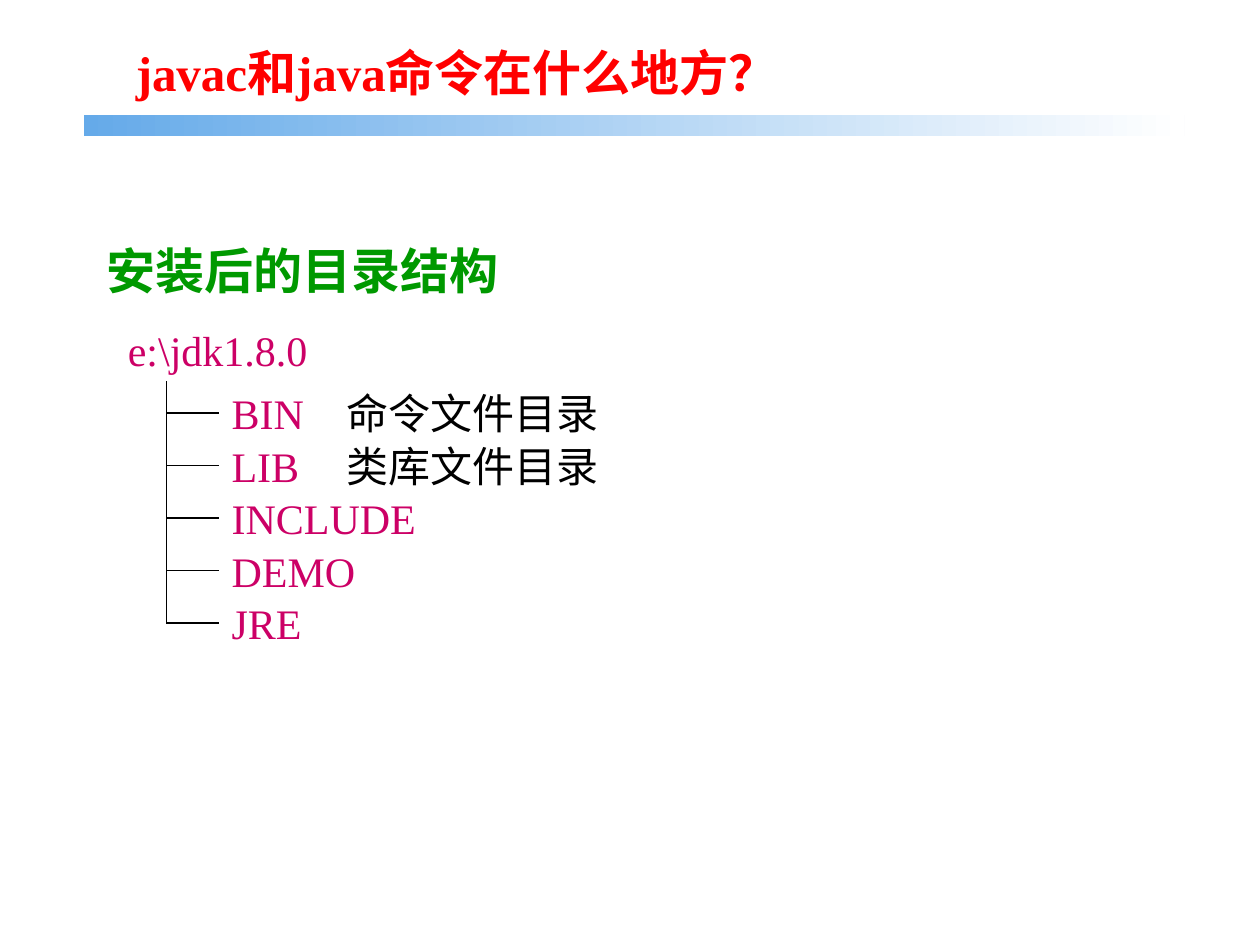
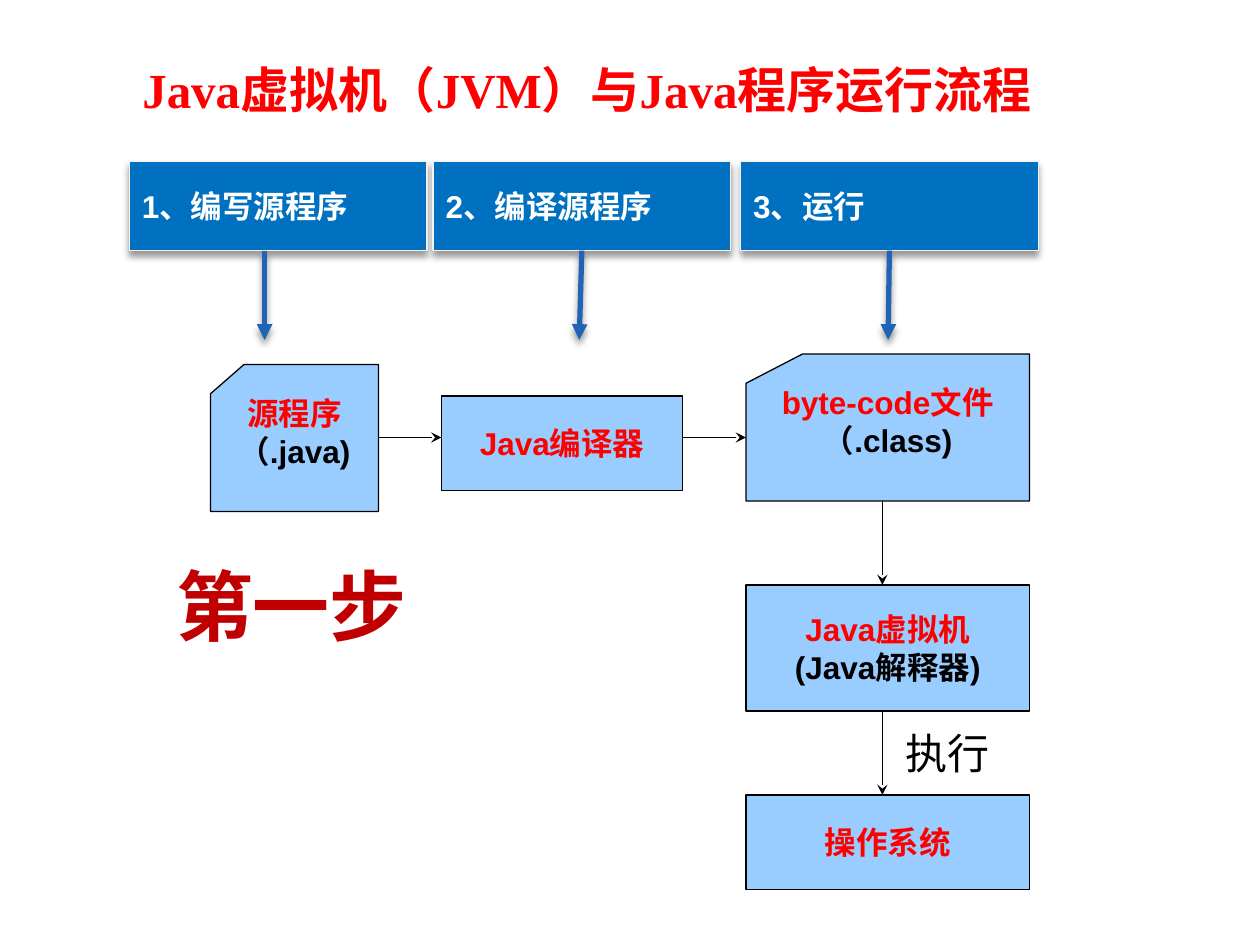
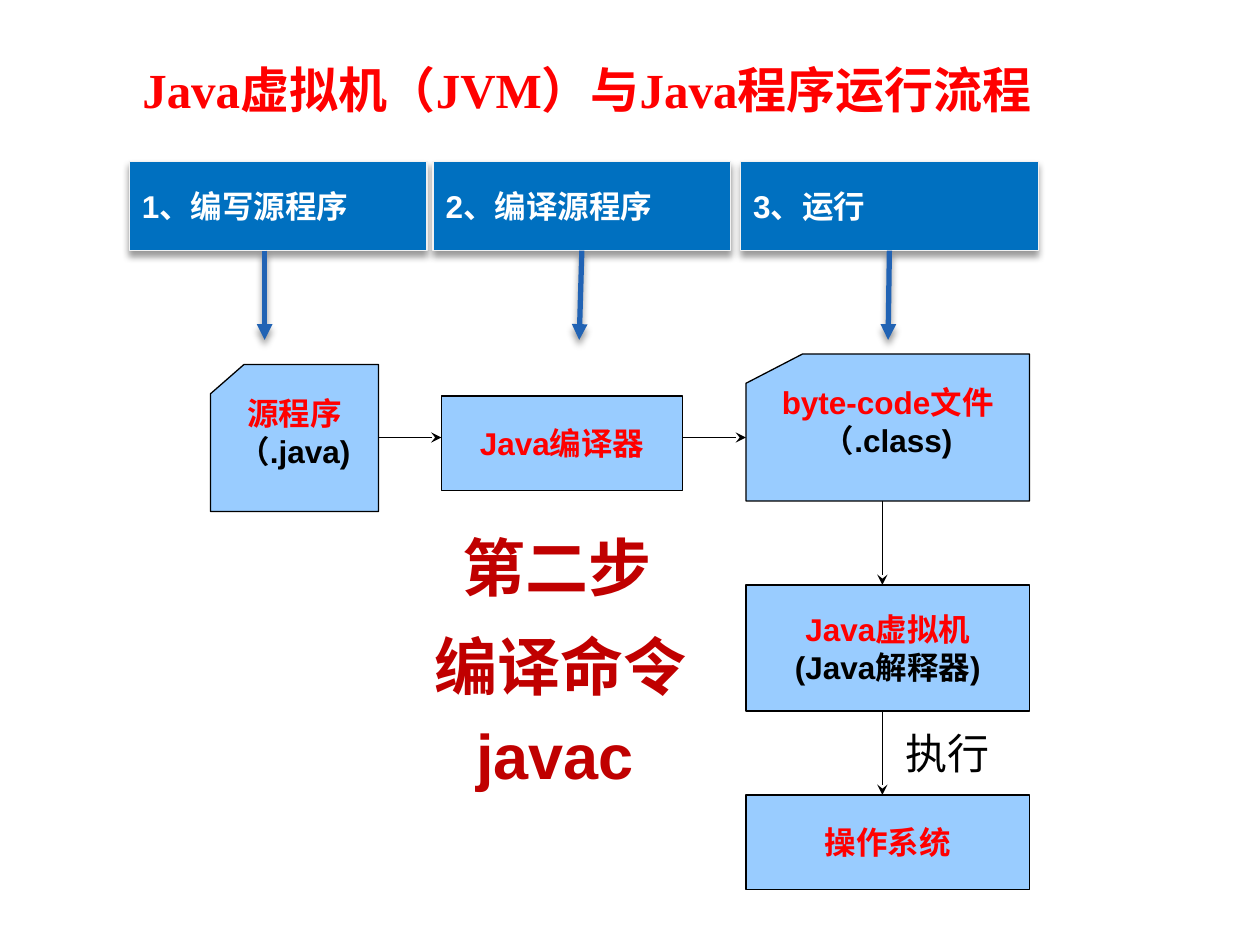
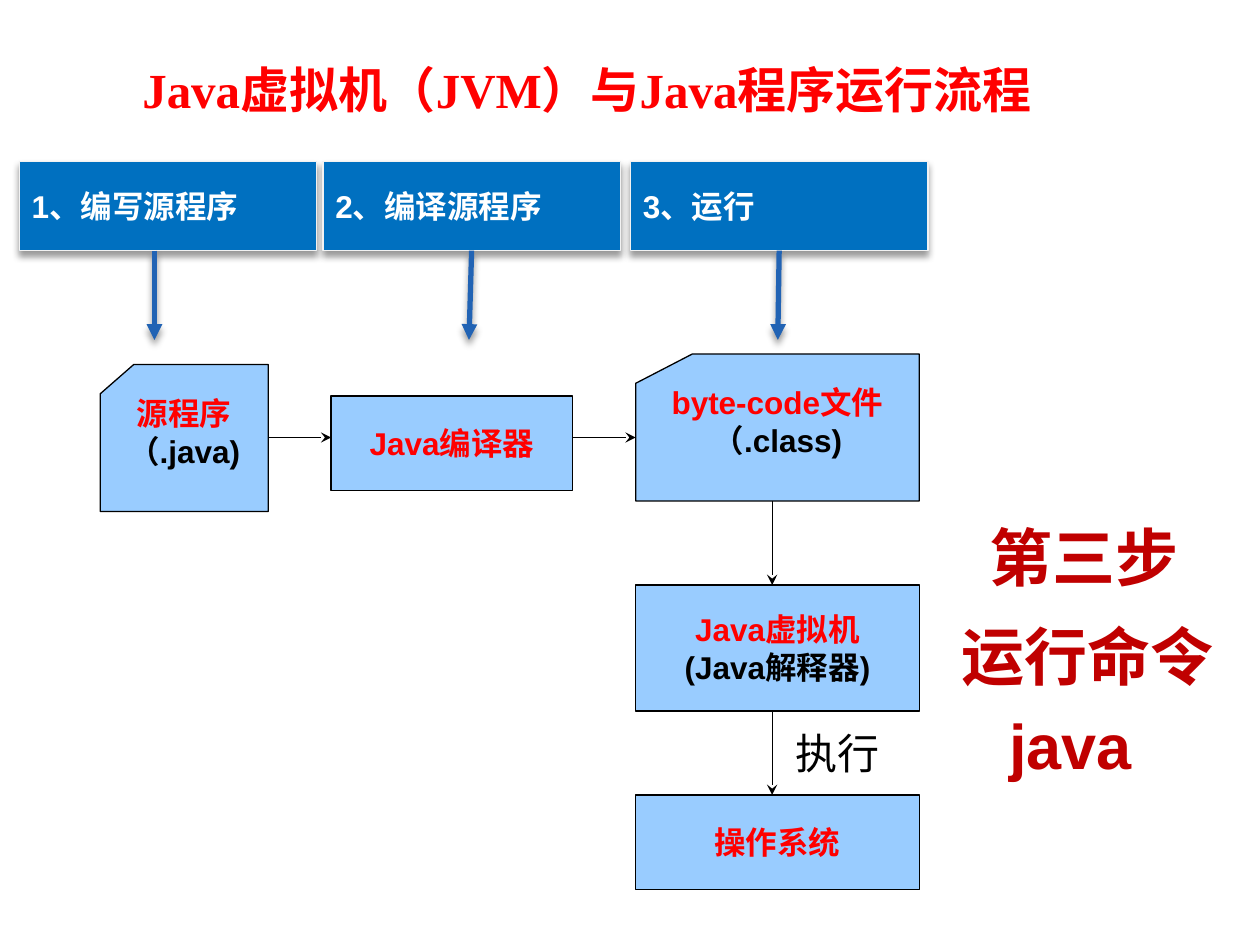
from dataclasses import dataclass
from typing import NamedTuple

from lxml import etree
from pptx import Presentation
from pptx.dml.color import RGBColor
from pptx.enum.shapes import MSO_CONNECTOR, MSO_SHAPE
from pptx.enum.text import MSO_ANCHOR, MSO_AUTO_SIZE, PP_ALIGN
from pptx.oxml.ns import qn
from pptx.util import Pt

RECT = MSO_SHAPE.RECTANGLE
ROUND = MSO_SHAPE.ROUNDED_RECTANGLE
CARD = MSO_SHAPE.FLOWCHART_CARD
LINE = MSO_CONNECTOR.STRAIGHT
TOP, MID = MSO_ANCHOR.TOP, MSO_ANCHOR.MIDDLE
LEFT, MIDDLE = PP_ALIGN.LEFT, PP_ALIGN.CENTER
GROW, FIXED = MSO_AUTO_SIZE.SHAPE_TO_FIT_TEXT, MSO_AUTO_SIZE.NONE


# Theme: colours, fonts and type sizes
@dataclass(frozen=True)
class Theme:
    red: str = "FF0000"
    ink: str = "000000"
    white: str = "FFFFFF"
    green: str = "009900"
    pink: str = "CC0066"
    deep: str = "C00000"
    sky: str = "99CCFF"
    bar: str = "0070C0"
    edge: str = "F2F2F2"
    arrow: str = "2163B4"
    fade: str = "65AAE9"
    serif: str = "Times New Roman"
    sans: str = "Arial"
    han: str = "Noto Sans CJK SC"
    title: float = 28
    body: float = 24
    label: float = 18
    step: float = 36
    first: float = 44
    thin: float = 0.75
    thick: float = 3


T = Theme()


class Frame(NamedTuple):
    x: float
    y: float
    w: float
    h: float

    def move(self, dx: float) -> "Frame":
        return self._replace(x=self.x + dx)


class Style(NamedTuple):
    size: float
    font: str
    tints: tuple
    bold: bool = True


class Note(NamedTuple):
    text: str
    frame: Frame
    style: Style
    anchor: MSO_ANCHOR = MID
    align: PP_ALIGN = LEFT
    fill: str = ""
    wrap: bool = False


class Node(NamedTuple):
    kind: MSO_SHAPE
    text: str
    frame: Frame


class Link(NamedTuple):
    x1: float
    y1: float
    x2: float
    y2: float


class Stage(NamedTuple):
    text: str
    left: float
    start: float
    end: float


HEAD = Style(T.title, T.serif, (T.red,))
TOPIC = Style(T.title, T.serif, (T.green,))
FOLDER = Style(T.body, T.serif, (T.pink,), False)
PLAIN = Style(T.body, T.serif, (T.ink,), False)
NODE = Style(T.label, T.sans, (T.red, T.ink))
STAGE = Style(T.label, T.sans, (T.white,))
FIRST = Style(T.first, T.han, (T.deep,))
STEP = Style(T.step, T.han, (T.deep,))
TOOL = Style(T.step, T.sans, (T.deep,))


# Drawing helpers
def paint(code: str) -> RGBColor:
    return RGBColor.from_string(code)


def place(frame: Frame) -> list:
    return [Pt(v) for v in frame]


def write(box, text: str, style: Style, align: PP_ALIGN) -> None:
    """One paragraph a line; tints go to the lines in turn."""
    box.text_frame.text = text
    for para, tint in zip(box.text_frame.paragraphs, style.tints):
        para.alignment = align
        for run in para.runs:
            font = run.font
            font.size, font.bold = Pt(style.size), style.bold
            font.color.rgb = paint(tint)
            font.name = style.font
            etree.SubElement(font._element, qn("a:ea"), typeface=T.han)


def shade(effects) -> None:
    drop = etree.SubElement(effects, qn("a:outerShdw"), blurRad=str(Pt(4)),
                            dist=str(Pt(3)), dir="5400000", rotWithShape="0")
    tint = etree.SubElement(drop, qn("a:srgbClr"), val=T.ink)
    etree.SubElement(tint, qn("a:alpha"), val="40000")


def add_note(slide, note: Note) -> None:
    if note.fill:
        box = slide.shapes.add_shape(RECT, *place(note.frame))
        box.shadow.inherit = False
        box.fill.solid()
        box.fill.fore_color.rgb = paint(note.fill)
        box.line.fill.background()
    else:
        box = slide.shapes.add_textbox(*place(note.frame))
    write(box, note.text, note.style, note.align)
    frame = box.text_frame
    frame.word_wrap = note.wrap
    frame.vertical_anchor = note.anchor
    frame.auto_size = FIXED if note.wrap else GROW


def add_box(slide, node: Node, fill: str, edge: str):
    box = slide.shapes.add_shape(node.kind, *place(node.frame))
    box.shadow.inherit = False
    box.fill.solid()
    box.fill.fore_color.rgb = paint(fill)
    box.line.color.rgb = paint(edge)
    box.line.width = Pt(T.thin)
    box.text_frame.vertical_anchor = MID
    return box


def add_node(slide, node: Node) -> None:
    box = add_box(slide, node, T.sky, T.ink)
    write(box, node.text, NODE, MIDDLE)
    frame = box.text_frame
    frame.word_wrap = False
    if node.kind == CARD:
        frame.vertical_anchor = TOP
        frame.margin_top = 0


def add_stage(slide, text: str, frame: Frame) -> None:
    box = add_box(slide, Node(ROUND, text, frame), T.bar, T.edge)
    box.adjustments[0] = 0
    shade(box._element.spPr.find(qn("a:effectLst")))
    write(box, text, STAGE, LEFT)


def add_link(slide, link: Link, tip: str = "", tint: str = T.ink,
             width: float = T.thin, drop: bool = False) -> None:
    wire = slide.shapes.add_connector(LINE, *[Pt(v) for v in link])
    wire.line.color.rgb = paint(tint)
    wire.line.width = Pt(width)
    if tip:
        etree.SubElement(wire.line._ln, qn("a:tailEnd"), type=tip)
    effects = etree.SubElement(wire._element.spPr, qn("a:effectLst"))
    if drop:
        shade(effects)


# Slide 1: folder tree
ROW, PITCH, TALL = 218, 30, 36
TRUNK, LEAF = 95, 125.25
FOLDERS = [("BIN", 56, "命令文件目录"), ("LIB", 60, "类库文件目录"),
           ("INCLUDE", 120, ""), ("DEMO", 85, ""), ("JRE", 55, "")]


def draw_tree(slide) -> None:
    band = slide.shapes.add_shape(RECT, *place(Frame(48, 66, 629, 11.5)))
    band.shadow.inherit = False
    band.line.fill.background()
    band.fill.gradient()
    band.fill.gradient_angle = 0
    for stop, tint in zip(band.fill.gradient_stops, (T.fade, T.white)):
        stop.color.rgb = paint(tint)

    add_note(slide, Note("安装后的目录结构", Frame(54, 134, 242, 41), TOPIC))
    add_note(slide, Note("e:\\jdk1.8.0", Frame(66, 182, 118, TALL), FOLDER,
                         fill=T.white))
    for i, (name, wide, about) in enumerate(FOLDERS):
        top = ROW + i * PITCH
        mid = top + TALL / 2
        add_note(slide, Note(name, Frame(LEAF, top, wide, TALL), FOLDER,
                             fill=T.white))
        add_link(slide, Link(TRUNK, mid, LEAF, mid))
        if about:
            add_note(slide, Note(about, Frame(191, top, 160, TALL), PLAIN,
                                 anchor=TOP))
    add_link(slide, Link(TRUNK, ROW, TRUNK, mid))
    add_note(slide, Note("javac和java命令在什么地方？",
                         Frame(70.5, 20.75, 392, 41), HEAD))


# Slides 2 to 4: the flow, moved sideways as a whole
NODES = [
    Node(CARD, "源程序\n（.java)", Frame(120.25, 208.25, 96, 84)),
    Node(RECT, "Java编译器", Frame(252.25, 226.25, 138, 54)),
    Node(CARD, "byte-code文件\n（.class)", Frame(426.25, 202.25, 162, 84)),
    Node(RECT, "Java虚拟机\n(Java解释器)", Frame(426.25, 334.25, 162, 72)),
    Node(RECT, "操作系统", Frame(426.25, 454.25, 162, 54)),
]
LINKS = [Link(216.25, 250, 252.25, 250), Link(390.25, 250, 426.25, 250),
         Link(504.25, 286.25, 504.25, 334.25),
         Link(504.25, 406.25, 504.25, 454.25)]
STAGES = [Stage("1、编写源程序", 74, 151.25, 151.25),
          Stage("2、编译源程序", 247.5, 332.5, 331),
          Stage("3、运行", 423.25, 508.25, 507.5)]


def draw_flow(slide, dx: float, notes: list) -> None:
    add_note(slide, Note("Java虚拟机（JVM）与Java程序运行流程",
                         Frame(74.25, 30.25, 530, 41), HEAD, wrap=True))
    for node in NODES:
        add_node(slide, node._replace(frame=node.frame.move(dx)))
    for x1, y1, x2, y2 in LINKS:
        add_link(slide, Link(x1 + dx, y1, x2 + dx, y2), "stealth")
    add_note(slide, Note("执行", Frame(509.5 + dx, 412, 64, TALL), PLAIN,
                         align=MIDDLE))
    for stage in STAGES:
        add_stage(slide, stage.text, Frame(stage.left + dx, 92.25, 170, 51))
    for stage in STAGES:
        add_link(slide, Link(stage.start + dx, 143.25, stage.end + dx, 194.25),
                 "triangle", T.arrow, T.thick, True)
    for note in notes:
        add_note(slide, note)


def stack(x: float, y: float, step: str, task: str, tool: Note) -> list:
    """Step name, task and command, one below the other."""
    return [Note(step, Frame(x, y, 124, 51), STEP),
            Note(task, Frame(x - 16, y + 57, 160.5, 51), STEP, anchor=TOP),
            tool]


FLOWS = [
    (0, [Note("第一步", Frame(93.5, 315.5, 148, 60.5), FIRST)]),
    (0, stack(257, 298, "第二步", "编译命令",
              Note("javac", Frame(265, 406, 106, 51), TOOL, anchor=TOP))),
    (-63, stack(558.5, 292.25, "第三步", "运行命令",
                Note("java", Frame(569.5, 400, 85, 51), TOOL, anchor=TOP))),
]


def main() -> None:
    deck = Presentation()
    deck.slide_width, deck.slide_height = Pt(720), Pt(540)
    blank = deck.slide_layouts[6]
    draw_tree(deck.slides.add_slide(blank))
    for dx, notes in FLOWS:
        draw_flow(deck.slides.add_slide(blank), dx, notes)
    deck.save("out.pptx")


if __name__ == "__main__":
    main()
